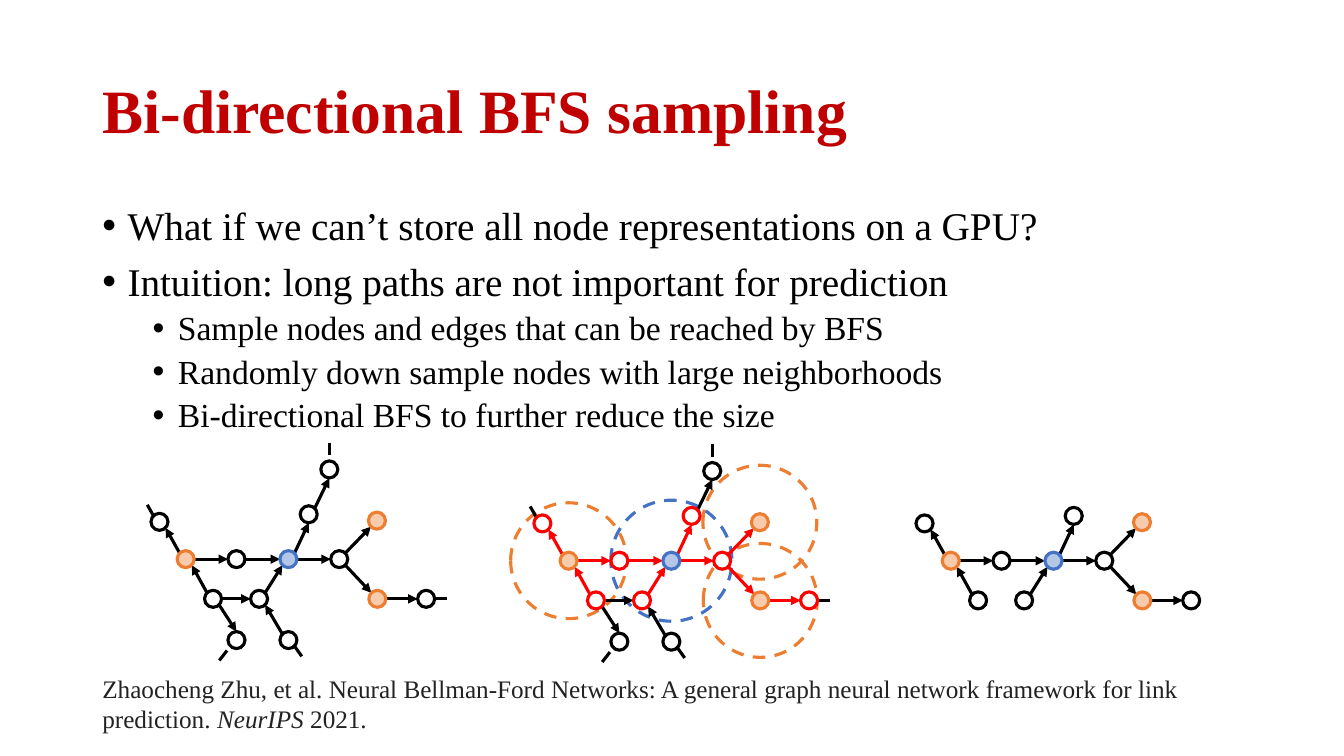
from dataclasses import dataclass
from math import hypot

from lxml import etree
from pptx import Presentation
from pptx.dml.color import RGBColor
from pptx.enum.dml import MSO_LINE
from pptx.enum.shapes import MSO_CONNECTOR, MSO_SHAPE
from pptx.enum.text import MSO_ANCHOR, PP_ALIGN
from pptx.oxml.ns import qn
from pptx.util import Cm, Pt

STRAIGHT = MSO_CONNECTOR.STRAIGHT
OVAL = MSO_SHAPE.OVAL
DASH = MSO_LINE.DASH
LEFT = PP_ALIGN.LEFT
MIDDLE = MSO_ANCHOR.MIDDLE


@dataclass(frozen=True)
class Theme:
    font: str = "Times New Roman"
    title: str = "C00000"
    text: str = "000000"
    cite: str = "222222"
    black: str = "000000"
    red: str = "FF0000"
    white: str = "FFFFFF"
    orange: str = "ED7D31"
    peach: str = "F8CBAD"
    blue: str = "4472C4"
    sky: str = "B4C7E7"
    title_size: int = 44
    body_sizes: tuple = (28, 24)
    cite_size: int = 18
    line_width: float = 2.25


THEME = Theme()

BULLETS = [
    (0, "What if we can’t store all node representations on a GPU?"),
    (0, "Intuition: long paths are not important for prediction"),
    (1, "Sample nodes and edges that can be reached by BFS"),
    (1, "Randomly down sample nodes with large neighborhoods"),
    (1, "Bi-directional BFS to further reduce the size"),
]

# Node centres in cm, relative to the blue hub
NODE_SIZE = 0.43
NODES = {
    "hub": (0, 0), "source": (-2.59, 0), "mid": (-1.31, 0), "right": (1.28, 0),
    "high target": (2.23, -0.97), "low target": (2.24, 1), "end": (3.47, 1),
    "low left": (-1.9, 1), "low mid": (-0.74, 1), "above": (0.51, -1.13),
    "top": (1.03, -2.26), "bottom left": (-1.31, 2.04),
    "bottom right": (0, 2.04), "high left": (-3.25, -0.94),
}
TARGETS = {"source", "high target", "low target"}
OUTER = {"top", "bottom left", "bottom right"}
SKIPPED = ("low left", "low mid")

# Compass points of a node where edges attach
SITES = {"N": (0, -1), "NE": (1, -1), "E": (1, 0), "SE": (1, 1),
         "S": (0, 1), "SW": (-1, 1), "W": (-1, 0), "NW": (-1, -1)}
EDGES = [
    ("source", "E", "mid", "W"), ("mid", "E", "hub", "W"),
    ("hub", "E", "right", "W"), ("right", "NE", "high target", "SW"),
    ("right", "SE", "low target", "NW"), ("low target", "E", "end", "W"),
    ("low left", "NW", "source", "SE"), ("low left", "E", "low mid", "W"),
    ("low mid", "NE", "hub", "SW"), ("hub", "NE", "above", "S"),
    ("above", "NE", "top", "S"), ("bottom right", "NW", "low mid", "SE"),
    ("low left", "SE", "bottom left", "N"), ("source", "NW", "high left", "SE"),
]
# Node, site, offset of the loose end, whether the dashes start there
STUBS = [
    ("end", "E", (0.48, 0), False), ("top", "N", (0, -0.46), True),
    ("bottom right", "SE", (0.27, 0.38), False),
    ("bottom left", "SW", (-0.28, 0.36), True),
    ("high left", "NW", (-0.23, -0.41), False),
]
RINGS = {"source": 2.92, "low target": 2.87, "high target": 2.87, "hub": 3.05}


def rgb(color):
    return RGBColor.from_string(color)


def add_text(p, text, size, color, bold=False, italic=False):
    r = p.add_run()
    r.text = text
    f = r.font
    f.name, f.size, f.bold, f.italic = THEME.font, Pt(size), bold, italic
    f.color.rgb = rgb(color)


def add_box(s, left, top, width, height):
    tf = s.shapes.add_textbox(Cm(left), Cm(top), Cm(width), Cm(height)).text_frame
    tf.word_wrap = True
    return tf


def add_bullet(p, level):
    pPr = p._p.get_or_add_pPr()
    pPr.set("marL", str(Cm(0.635 + 1.27 * level)))
    pPr.set("indent", str(Cm(-0.635)))
    etree.SubElement(pPr, qn("a:buFont"), typeface="Arial")
    etree.SubElement(pPr, qn("a:buChar"), char="•")
    p.level = level
    p.line_spacing = 0.9


def add_circle(group, center, size, line, fill=None, dashed=False):
    x, y = center
    sp = group.shapes.add_shape(OVAL, Cm(x - size / 2), Cm(y - size / 2),
                                Cm(size), Cm(size))
    sp.shadow.inherit = False
    sp.line.color.rgb = rgb(line)
    sp.line.width = Pt(THEME.line_width)
    if dashed:
        sp.line.dash_style = DASH
    if fill:
        sp.fill.solid()
        sp.fill.fore_color.rgb = rgb(fill)
    else:
        sp.fill.background()


def add_line(group, start, end, color, dashed=False):
    """Dashed lines are plain; solid ones carry an arrowhead."""
    c = group.shapes.add_connector(STRAIGHT, *(Cm(v) for v in (*start, *end)))
    c.line.color.rgb = rgb(color)
    c.line.width = Pt(THEME.line_width)
    if dashed:
        c.line.dash_style = DASH
    else:
        etree.SubElement(c.line._get_or_add_ln(), qn("a:tailEnd"), type="triangle")
    etree.SubElement(c._element.spPr, qn("a:effectLst"))


def add_graph(s, x, y, reached=THEME.black, rings=False, sampled=False):
    group = s.shapes.add_group_shape()

    def center(node):
        dx, dy = NODES[node]
        return x + dx, y + dy

    def site(node, name):
        cx, cy = center(node)
        ux, uy = SITES[name]
        scale = NODE_SIZE / 2 / hypot(ux, uy)
        return cx + ux * scale, cy + uy * scale

    # Search neighbourhoods
    if rings:
        for node, size in RINGS.items():
            color = THEME.blue if node == "hub" else THEME.orange
            add_circle(group, center(node), size, color, dashed=True)

    # Edges
    for a, a_site, b, b_site in EDGES:
        unreached = (a, b) == SKIPPED or a in OUTER or b in OUTER
        if not (sampled and unreached):
            add_line(group, site(a, a_site), site(b, b_site),
                     THEME.black if unreached else reached)

    # Continuations beyond the shown graph
    if not sampled:
        for node, name, (dx, dy), from_loose in STUBS:
            px, py = site(node, name)
            ends = [(px, py), (px + dx, py + dy)]
            if from_loose:
                ends.reverse()
            add_line(group, *ends, THEME.black, dashed=True)

    # Nodes
    for node in NODES:
        if sampled and node in OUTER:
            continue
        if node == "hub":
            line, fill = THEME.blue, THEME.sky
        elif node in TARGETS:
            line, fill = THEME.orange, THEME.peach
        else:
            line, fill = THEME.black if node in OUTER else reached, THEME.white
        add_circle(group, center(node), NODE_SIZE, line, fill)


def main():
    prs = Presentation()
    prs.slide_width, prs.slide_height = Cm(33.87), Cm(19.05)
    s = prs.slides.add_slide(prs.slide_layouts[5])

    # Title
    title = s.shapes.title
    title.left, title.top, title.width, title.height = (
        Cm(v) for v in (2.33, 1.01, 29.21, 3.68))
    title.text_frame.vertical_anchor = MIDDLE
    p = title.text_frame.paragraphs[0]
    p.alignment, p.line_spacing = LEFT, 0.9
    add_text(p, "Bi-directional BFS sampling", THEME.title_size, THEME.title, bold=True)

    # Bullets
    tf = add_box(s, 2.33, 5.07, 29.21, 12.09)
    for i, (level, text) in enumerate(BULLETS):
        p = tf.add_paragraph() if i else tf.paragraphs[0]
        add_bullet(p, level)
        p.space_before = Pt((10, 5)[level] if i else 0)
        add_text(p, text, THEME.body_sizes[level], THEME.text)

    # Full graph, bi-directional search, sampled graph
    add_graph(s, 7.27, 14.09)
    add_graph(s, 16.92, 14.13, reached=THEME.red, rings=True)
    add_graph(s, 26.55, 14.13, sampled=True)

    # Citation
    p = add_box(s, 2.33, 16.84, 30.18, 1.8).paragraphs[0]
    add_text(p, "Zhaocheng Zhu, et al. Neural Bellman-Ford Networks: A general graph "
                "neural network framework for link prediction. ",
             THEME.cite_size, THEME.cite)
    add_text(p, "NeurIPS", THEME.cite_size, THEME.cite, italic=True)
    add_text(p, " 2021.", THEME.cite_size, THEME.cite)

    prs.save("out.pptx")


if __name__ == "__main__":
    main()
